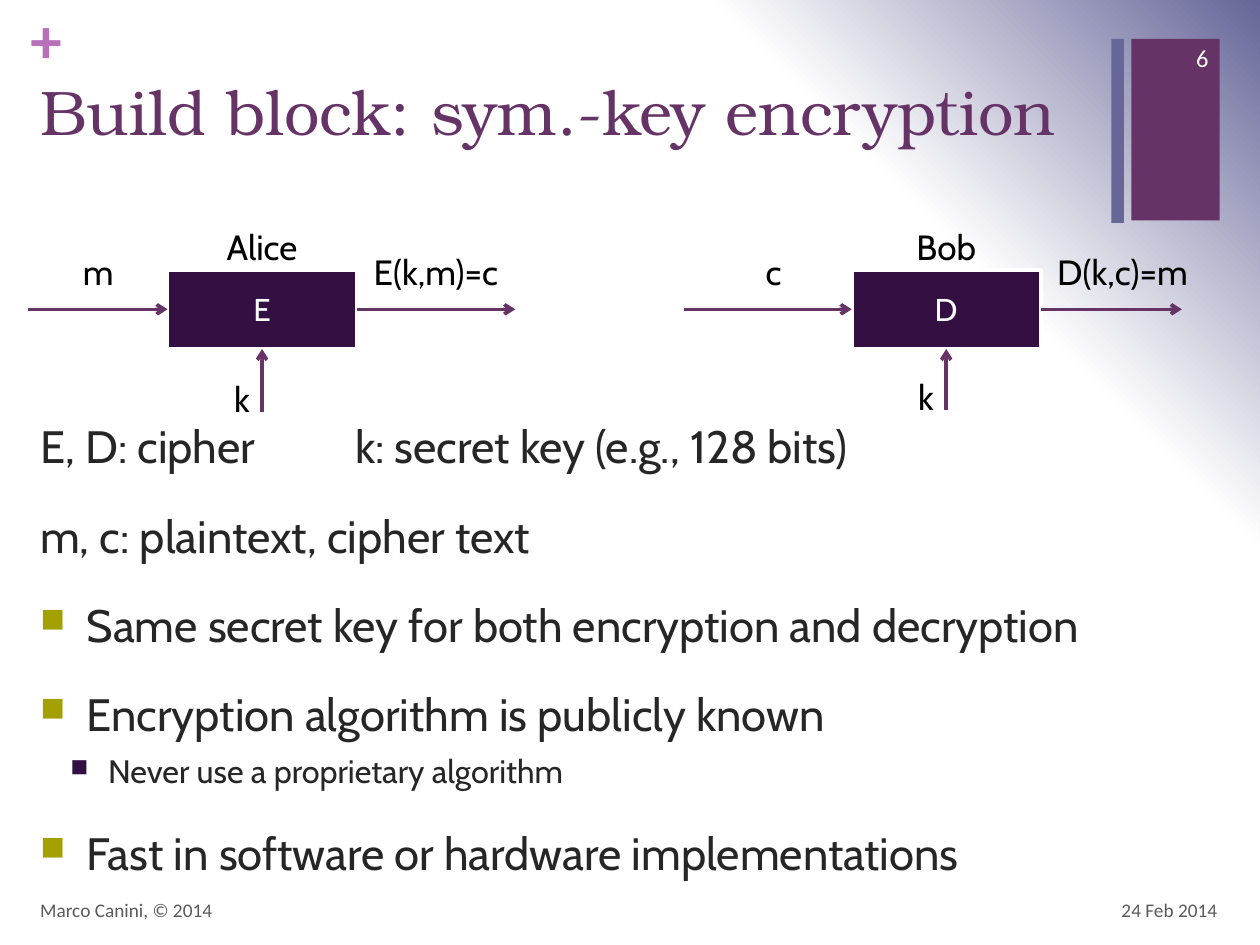
from dataclasses import dataclass

from pptx import Presentation
from pptx import oxml
from pptx.dml.color import RGBColor
from pptx.enum import shapes, text
from pptx.oxml import ns
from pptx.util import Inches, Pt


@dataclass(frozen=True)
class Theme:
    purple: str = "663366"
    slate: str = "666699"
    dark: str = "330F42"
    olive: str = "A3A101"
    orchid: str = "B870B8"
    ink: str = "262626"
    grey: str = "595959"
    black: str = "000000"
    white: str = "FFFFFF"
    heading: str = "TeX Gyre Bonum"
    body: str = "Cabin"
    small: str = "Calibri"
    title_size: float = 36
    body_size: float = 25.9
    sub_size: float = 18.5
    label_size: float = 20
    block_size: float = 18
    number_size: float = 14
    footer_size: float = 11


THEME = Theme()
LEFT, CENTER, RIGHT = text.PP_ALIGN.LEFT, text.PP_ALIGN.CENTER, text.PP_ALIGN.RIGHT
TOP, MIDDLE = text.MSO_ANCHOR.TOP, text.MSO_ANCHOR.MIDDLE


def rgb(color):
    return RGBColor.from_string(color)


def add_span(para, words, size, color, font, bold=False):
    span = para.add_run()
    span.text = words
    span.font.size = Pt(size)
    span.font.name = font
    span.font.bold = bold
    span.font.color.rgb = rgb(color)


def add_text(page, left, top, width, height, words, size, color, font,
             align=LEFT, anchor=TOP, wrap=True, bold=False, inset=None):
    box = page.shapes.add_textbox(Inches(left), Inches(top), Inches(width), Inches(height))
    frame = box.text_frame
    frame.word_wrap = wrap
    frame.vertical_anchor = anchor
    if inset is not None:
        frame.margin_left = frame.margin_right = Inches(inset)
        frame.margin_top = frame.margin_bottom = Inches(inset)
    para = frame.paragraphs[0]
    para.alignment = align
    add_span(para, words, size, color, font, bold)


def add_rect(page, left, top, width, height, fill):
    rect = page.shapes.add_shape(shapes.MSO_SHAPE.RECTANGLE, Inches(left), Inches(top),
                                 Inches(width), Inches(height))
    rect.shadow.inherit = False
    rect.fill.solid()
    rect.fill.fore_color.rgb = rgb(fill)
    rect.line.fill.background()
    return rect


def add_arrow(page, x1, y1, x2, y2):
    arrow = page.shapes.add_connector(shapes.MSO_CONNECTOR.STRAIGHT, Inches(x1), Inches(y1),
                                      Inches(x2), Inches(y2))
    arrow.line.color.rgb = rgb(THEME.purple)
    arrow.line.width = Pt(2)
    head = arrow.line._get_or_add_ln().makeelement(ns.qn("a:tailEnd"), {"type": "arrow"})
    arrow.line._get_or_add_ln().append(head)
    props = arrow._element.spPr
    props.append(props.makeelement(ns.qn("a:effectLst"), {}))


def add_label(page, center, top, words):
    width = 1.4
    add_text(page, center - width / 2, top, width, 0.44, words, THEME.label_size,
             THEME.black, THEME.body, CENTER, wrap=False)


def add_bullet(para, color, left, hanging):
    props = para._p.get_or_add_pPr()
    props.set("marL", str(Inches(left)))
    props.set("indent", str(-Inches(hanging)))
    for markup in (f'<a:buClr {ns.nsdecls("a")}><a:srgbClr val="{color}"/></a:buClr>',
                   f'<a:buSzPct {ns.nsdecls("a")} val="75000"/>',
                   f'<a:buChar {ns.nsdecls("a")} char="■"/>'):
        props.append(oxml.parse_xml(markup))


def paint_background(page):
    """Radial fade from the lower left to the upper right corner."""
    page.background.fill.gradient()
    old = next(page._element.iter(ns.qn("a:gradFill")))
    stops = "".join(f'<a:gs pos="{place * 1000}"><a:srgbClr val="{color}"/></a:gs>'
                    for place, color in ((0, THEME.white), (75, THEME.white), (100, THEME.slate)))
    fade = oxml.parse_xml(
        f'<a:gradFill {ns.nsdecls("a")} rotWithShape="1"><a:gsLst>{stops}</a:gsLst>'
        '<a:path path="circle"><a:fillToRect t="100000" r="100000"/></a:path></a:gradFill>')
    old.getparent().replace(old, fade)


def add_header(page, left, top, width, height):
    # Corner blocks, plus sign, title and page number
    right = left + width
    add_rect(page, right - 0.78, 0.31, 0.7, 1.44, THEME.purple)
    add_text(page, left + 0.02, 0, 0.29, 0.61, "+", THEME.title_size, THEME.orchid,
             THEME.small, bold=True, inset=0)
    add_rect(page, right - 0.94, 0.31, 0.1, 1.46, THEME.slate)
    add_text(page, left, top, 8.59, height, "Build block: sym.-key encryption",
             THEME.title_size, THEME.purple, THEME.heading)
    add_text(page, right - 0.68, 0.26, 0.61, 0.4, "6", THEME.number_size, THEME.white,
             THEME.small, RIGHT, MIDDLE)


def add_party(page, left, top, width, height, name, cipher, source, result, key_length):
    """Cipher block; source and result are (words, label offset, arrow length)."""
    block = add_rect(page, left, top, width, height, THEME.dark)
    block.line.color.rgb = rgb(THEME.white)
    block.line.width = Pt(2.25)
    block.text_frame.vertical_anchor = MIDDLE
    para = block.text_frame.paragraphs[0]
    para.alignment = CENTER
    add_span(para, cipher, THEME.block_size, THEME.white, THEME.body)

    # Arrows into, out of and up to the block
    right, bottom = left + width, top + height
    center, middle = left + width / 2, top + height / 2
    add_arrow(page, left - source[2], middle, left, middle)
    add_arrow(page, right, middle, right + result[2], middle)
    add_arrow(page, center, bottom + key_length, center, bottom)

    # Labels
    add_label(page, center, top - 0.4, name)
    add_label(page, left - source[1], top - 0.2, source[0])
    add_label(page, right + result[1], top - 0.2, result[0])
    add_label(page, center - 0.16, bottom + key_length - 0.32, "k")


def add_body(page, left, top, width, height):
    box = page.shapes.add_textbox(Inches(left), Inches(top), Inches(width), Inches(height))
    frame = box.text_frame
    frame.word_wrap = True
    lines = (("plain", "E, D: cipher\t\tk: secret key (e.g., 128 bits)"),
             ("plain", "m, c: plaintext, cipher text"),
             ("point", "Same secret key for both encryption and decryption"),
             ("point", "Encryption algorithm is publicly known"),
             ("sub", "Never use a proprietary algorithm"),
             ("point", "Fast in software or hardware implementations"))
    for index, (kind, words) in enumerate(lines):
        para = frame.add_paragraph() if index else frame.paragraphs[0]
        if index:
            para.space_before = Pt(6 if kind == "sub" else 20)
        if kind == "sub":
            para.level = 1
            add_bullet(para, THEME.dark, 0.54, 0.3)
        elif kind == "point":
            add_bullet(para, THEME.olive, 0.37, 0.37)
        size = THEME.sub_size if kind == "sub" else THEME.body_size
        add_span(para, words, size, THEME.ink, THEME.body)


def add_footer(page, left, top, width, height):
    style = (THEME.footer_size, THEME.grey, THEME.small)
    add_text(page, left, top, 6.7, height, "Marco Canini, © 2014", *style, LEFT, MIDDLE)
    add_text(page, left + width - 2.33, top, 2.33, height, "24 Feb 2014", *style, RIGHT, MIDDLE)


def main():
    deck = Presentation()
    deck.slide_width, deck.slide_height = Inches(10), Inches(7.5)
    page = deck.slides.add_slide(deck.slide_layouts[6])
    paint_background(page)
    add_header(page, 0.22, 0.53, 9.54, 1.22)
    add_body(page, 0.22, 3.27, 9.54, 3.75)
    add_party(page, 1.33, 2.14, 1.5, 0.63, "Alice", "E",
              ("m", 0.55, 1.11), ("E(k,m)=c", 0.63, 1.26), 0.5)
    add_party(page, 6.76, 2.14, 1.5, 0.63, "Bob", "D",
              ("c", 0.62, 1.33), ("D(k,c)=m", 0.65, 1.12), 0.48)
    add_footer(page, 0.22, 7.02, 9.54, 0.4)
    deck.save("out.pptx")


if __name__ == "__main__":
    main()
